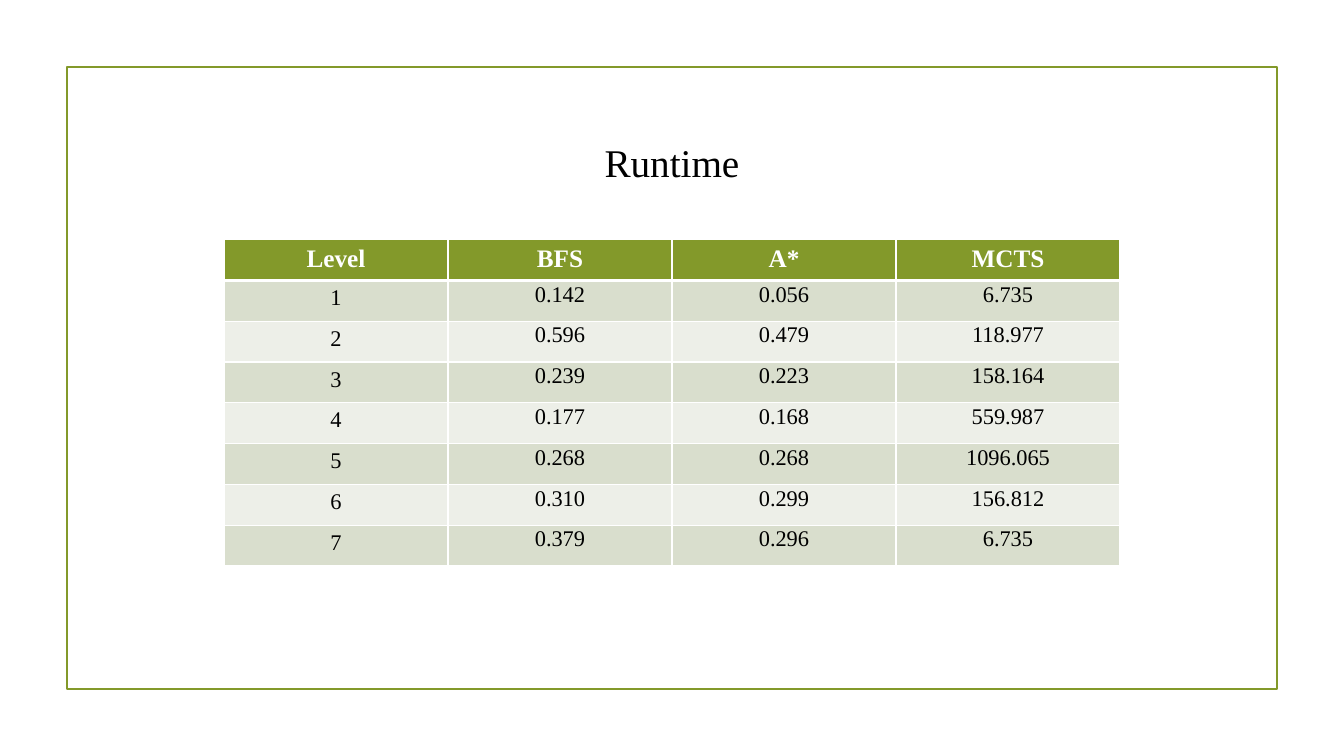
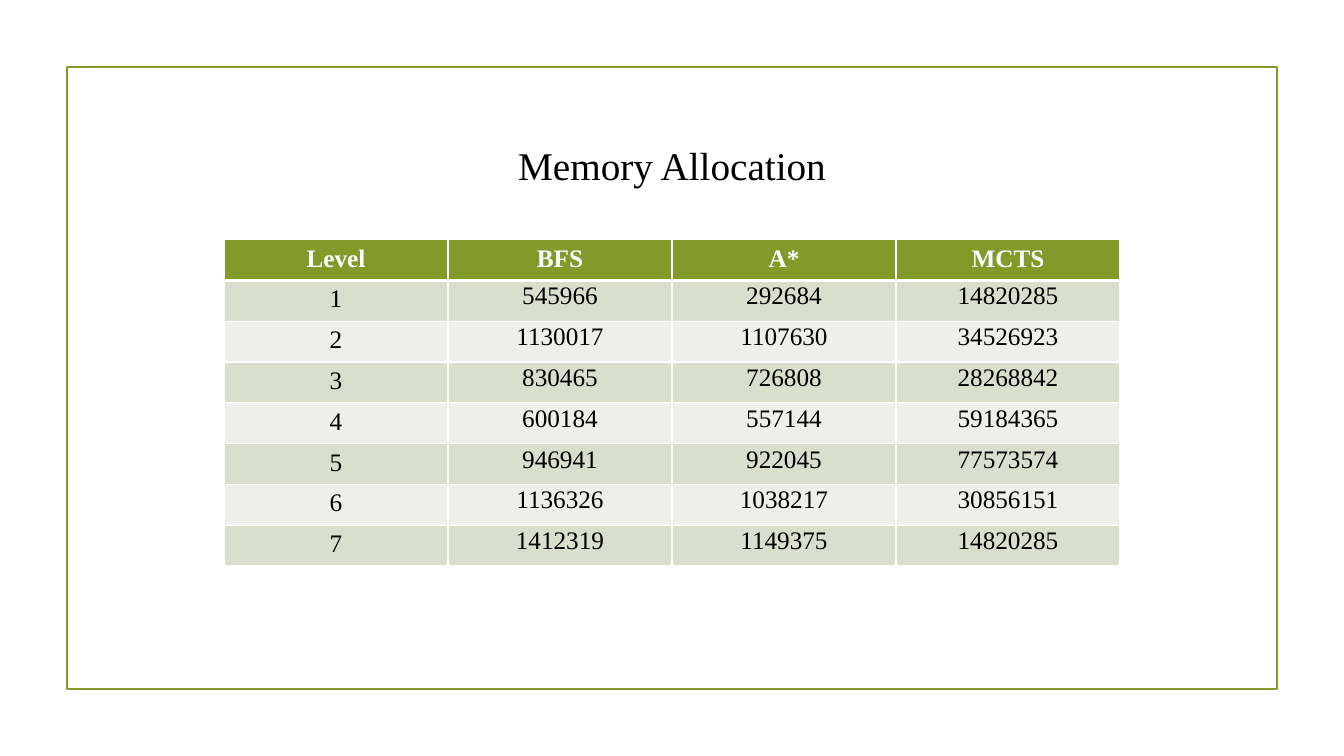
from dataclasses import dataclass
from typing import Any

from lxml import etree
from pptx import Presentation
from pptx import util as u
from pptx.dml.color import RGBColor
from pptx.enum import shapes, text
from pptx.oxml import ns


@dataclass(frozen=True)
class Theme:
    face: str = "Times New Roman"
    green: str = "83992A"
    white: str = "FFFFFF"
    black: str = "000000"
    bands: tuple[str, str] = ("D9DECD", "EDEFE8")
    title: int = 28
    head: int = 18
    edge: float = 1.25
    rule: int = 1
    thick: int = 3


@dataclass(frozen=True)
class Box:
    left: float
    top: float
    wide: float
    high: float

    def spots(self) -> tuple[int, int, int, int]:
        return (
            int(WIDE * self.left / 100),
            int(HIGH * self.top / 100),
            int(WIDE * self.wide / 100),
            int(HIGH * self.high / 100),
        )


@dataclass(frozen=True)
class Page:
    title: str
    top: float
    wide: float
    size: int
    rows: tuple[tuple[str, ...], ...]


THEME = Theme()
WIDE, HIGH = u.Inches(13.33), u.Inches(7.5)
FRAME = Box(5, 8.9, 90, 82.3)
COLUMN = 100 / 6
ROW = 5.4
HEADS = ("Level", "BFS", "A*", "MCTS")
PLAIN = {"alignment": text.PP_ALIGN.CENTER}
SPACED = PLAIN | {"line_spacing": 1.07, "space_after": u.Pt(8)}
TIGHT = {
    "margin_left": u.Inches(0.07),
    "margin_right": u.Inches(0.07),
    "margin_top": 0,
    "margin_bottom": 0,
}
FIT = {
    "word_wrap": False,
    "auto_size": text.MSO_AUTO_SIZE.SHAPE_TO_FIT_TEXT,
    "vertical_anchor": text.MSO_ANCHOR.TOP,
}

PAGES = (
    Page("Runtime", 17.6, 11.6, 16, (
        ("0.142", "0.056", "6.735"),
        ("0.596", "0.479", "118.977"),
        ("0.239", "0.223", "158.164"),
        ("0.177", "0.168", "559.987"),
        ("0.268", "0.268", "1096.065"),
        ("0.310", "0.299", "156.812"),
        ("0.379", "0.296", "6.735"),
    )),
    Page("Memory Allocation", 18, 24.6, 18, (
        ("545966", "292684", "14820285"),
        ("1130017", "1107630", "34526923"),
        ("830465", "726808", "28268842"),
        ("600184", "557144", "59184365"),
        ("946941", "922045", "77573574"),
        ("1136326", "1038217", "30856151"),
        ("1412319", "1149375", "14820285"),
    )),
)


def apply(item: Any, style: dict[str, Any]) -> None:
    for name, value in style.items():
        setattr(item, name, value)


def write(para: Any, words: str, size: int, color: str,
          bold: bool = False, style: dict[str, Any] = PLAIN) -> None:
    apply(para, style)
    run = para.add_run()
    run.text = words
    apply(run.font, {"name": THEME.face, "size": u.Pt(size), "bold": bold})
    run.font.color.rgb = RGBColor.from_string(color)


def border(cell: Any, sides: dict[str, int]) -> None:
    props = cell._tc.get_or_add_tcPr()
    for side, width in sides.items():
        line = etree.SubElement(props, ns.qn(f"a:ln{side}"), w=str(u.Pt(width)))
        solid = etree.SubElement(line, ns.qn("a:solidFill"))
        etree.SubElement(solid, ns.qn("a:srgbClr"), val=THEME.white)


def paint(cell: Any, color: str) -> None:
    cell.fill.solid()
    cell.fill.fore_color.rgb = RGBColor.from_string(color)


def frame(slide: Any) -> None:
    shape = slide.shapes.add_shape(shapes.MSO_SHAPE.RECTANGLE, *FRAME.spots())
    shape.shadow.inherit = False
    shape.fill.background()
    shape.line.color.rgb = RGBColor.from_string(THEME.green)
    shape.line.width = u.Pt(THEME.edge)


def title(slide: Any, page: Page) -> None:
    shape = slide.shapes.title
    box = Box((100 - page.wide) / 2, page.top, page.wide, 7.6)
    apply(shape, dict(zip(("left", "top", "width", "height"), box.spots())))
    apply(shape.text_frame, FIT)
    write(shape.text_frame.paragraphs[0], page.title, THEME.title, THEME.black)


def table(slide: Any, page: Page) -> None:
    count = len(page.rows) + 1
    box = Box(COLUMN, 31.7, COLUMN * len(HEADS), ROW * count)
    grid = slide.shapes.add_table(count, len(HEADS), *box.spots()).table
    body = {"L": THEME.rule, "R": THEME.rule, "B": THEME.rule}
    head = {"L": THEME.rule, "R": THEME.rule, "T": THEME.rule, "B": THEME.thick}
    for col, words in enumerate(HEADS):
        cell = grid.cell(0, col)
        border(cell, head)
        paint(cell, THEME.green)
        write(cell.text_frame.paragraphs[0], words, THEME.head, THEME.white, True)
    for row, values in enumerate(page.rows, 1):
        for col, words in enumerate((str(row), *values)):
            cell = grid.cell(row, col)
            border(cell, body)
            paint(cell, THEME.bands[(row - 1) % 2])
            if col:
                apply(cell, TIGHT)
            write(cell.text_frame.paragraphs[0], words, page.size, THEME.black,
                  style=SPACED if col else PLAIN)


def main() -> None:
    deck = Presentation()
    apply(deck, {"slide_width": WIDE, "slide_height": HIGH})
    for page in PAGES:
        slide = deck.slides.add_slide(deck.slide_layouts[5])
        frame(slide)
        title(slide, page)
        table(slide, page)
    deck.save("out.pptx")


if __name__ == "__main__":
    main()
